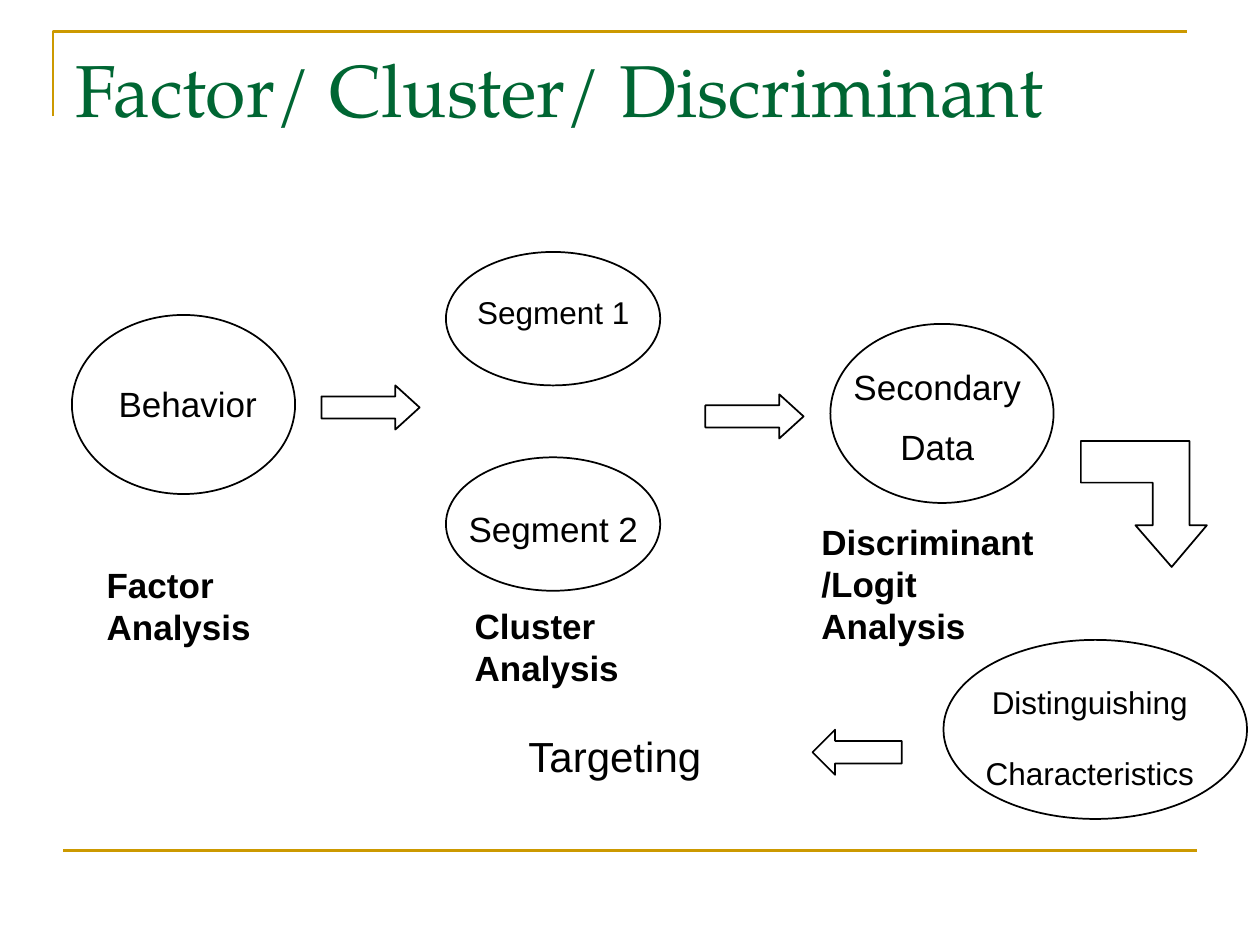
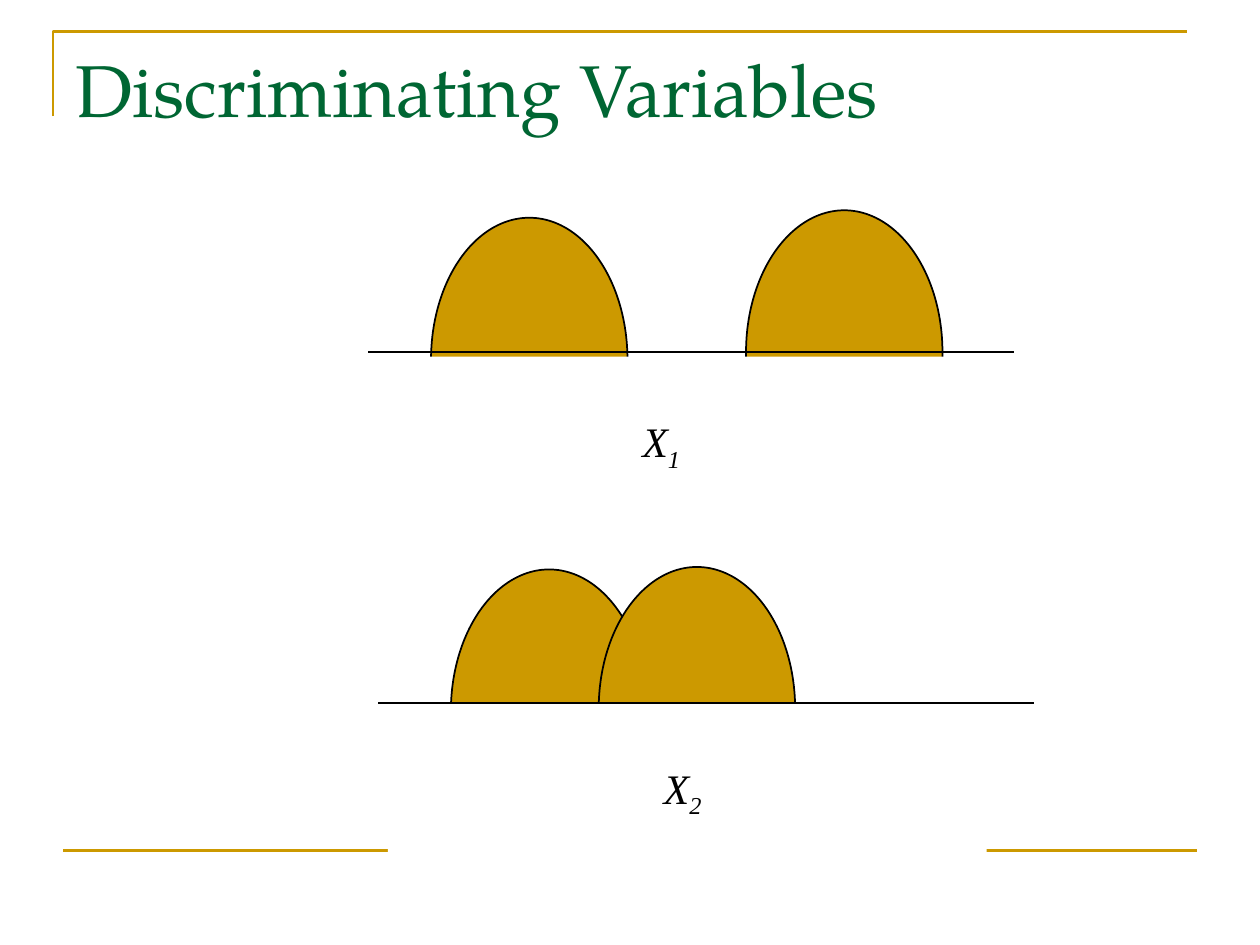
"""Build two slides on segment analysis and discriminating variables."""
from dataclasses import dataclass

from lxml.etree import SubElement
from pptx import Presentation
from pptx.dml.color import RGBColor
from pptx.enum.shapes import MSO_CONNECTOR, MSO_SHAPE
from pptx.enum.text import PP_ALIGN
from pptx.oxml.ns import qn
from pptx.util import Cm, Pt


@dataclass(frozen=True)
class Theme:
    gold: RGBColor = RGBColor(0xCC, 0x99, 0x00)
    green: RGBColor = RGBColor(0x00, 0x66, 0x33)
    black: RGBColor = RGBColor(0, 0, 0)
    white: RGBColor = RGBColor(255, 255, 255)
    title_font: str = "TeX Gyre Pagella"
    body_font: str = "Arial"
    symbol_font: str = "Times New Roman"
    title_size: int = 42
    large: int = 24
    medium: int = 20
    small: int = 18
    rule_width: float = 1.5
    outline_width: float = 1


class Deck:
    def __init__(self, theme):
        self.theme = theme
        self.presentation = Presentation()
        self.presentation.slide_width = Cm(25.4)
        self.presentation.slide_height = Cm(19.05)
        self.slide = None

    def add_slide(self, title):
        theme = self.theme
        self.slide = self.presentation.slides.add_slide(self.presentation.slide_layouts[6])
        self.outline([(1.07, 2.34), (1.07, 0.64), (23.93, 0.64)],
                     theme.gold, theme.rule_width, close=False)
        self.line(1.27, 24.13, 17.15, theme.gold, theme.rule_width)
        self.text([title], 1.27, 0.76, 22.86, 3.18, theme.title_size,
                  PP_ALIGN.LEFT, theme.title_font, theme.green)

    def finish(self, shape, fill, color, width):
        shape.shadow.inherit = False
        if fill is None:
            shape.fill.background()
        else:
            shape.fill.solid()
            shape.fill.fore_color.rgb = fill
        if color is None:
            shape.line.fill.background()
        else:
            shape.line.color.rgb = color
            shape.line.width = Pt(width)

    def shape(self, kind, left, top, width, height, fill=None, outlined=True):
        shape = self.slide.shapes.add_shape(kind, Cm(left), Cm(top), Cm(width), Cm(height))
        color = self.theme.black if outlined else None
        self.finish(shape, fill, color, self.theme.outline_width)
        return shape

    def ellipse(self, left, top, width, height, fill=None):
        self.shape(MSO_SHAPE.OVAL, left, top, width, height, fill)

    def right_arrow(self, left, top):
        arrow = self.shape(MSO_SHAPE.RIGHT_ARROW, left, top, 1.98, 0.89)
        arrow.adjustments[1] = 0.55

    def mask(self, left, top, width, height):
        self.shape(MSO_SHAPE.RECTANGLE, left, top, width, height, self.theme.white, False)

    def outline(self, points, color, width, close=True):
        corners = [(Cm(x), Cm(y)) for x, y in points]
        builder = self.slide.shapes.build_freeform(*corners[0])
        builder.add_line_segments(corners[1:], close=close)
        self.finish(builder.convert_to_shape(), None, color, width)

    def line(self, start, end, y, color, width):
        connector = self.slide.shapes.add_connector(
            MSO_CONNECTOR.STRAIGHT, Cm(start), Cm(y), Cm(end), Cm(y))
        connector.line.color.rgb = color
        connector.line.width = Pt(width)
        SubElement(connector._element.spPr, qn("a:effectLst"))

    def axis(self, start, y):
        self.line(start, start + 13.03, y, self.theme.black, self.theme.outline_width)

    def text(self, lines, left, top, width, height, size, align=PP_ALIGN.CENTER,
             font=None, color=None, bold=False, italic=False, gap=0):
        box = self.slide.shapes.add_textbox(Cm(left), Cm(top), Cm(width), Cm(height))
        frame = box.text_frame
        frame.word_wrap = True
        for index, line in enumerate(lines):
            paragraph = frame.add_paragraph() if index else frame.paragraphs[0]
            paragraph.text = line
            paragraph.alignment = align
            paragraph.space_before = Pt(gap if index else 0)
            paragraph.font.name = font or self.theme.body_font
            paragraph.font.size = Pt(size)
            paragraph.font.color.rgb = color or self.theme.black
            paragraph.font.bold = bold
            paragraph.font.italic = italic
        return frame.paragraphs[0]

    def method(self, name, left, top, height=1.96):
        self.text([name], left, top, 4.88, height, self.theme.medium,
                  PP_ALIGN.LEFT, bold=True)

    def variable(self, index, left, top):
        paragraph = self.text(["X"], left, top, 2.54, 1.27, self.theme.large,
                              PP_ALIGN.LEFT, self.theme.symbol_font, italic=True)
        subscript = paragraph.add_run()
        subscript.text = index
        subscript._r.get_or_add_rPr().set("baseline", "-25000")


def add_process(deck):
    theme = deck.theme
    deck.add_slide("Factor/ Cluster/ Discriminant")

    deck.ellipse(1.45, 6.35, 4.5, 3.61)
    deck.text(["Behavior"], 1.27, 7.59, 5.03, 1.09, theme.medium)
    deck.right_arrow(6.48, 7.77)

    for name, top, text_top, size in (("Segment 1", 5.08, 5.79, theme.small),
                                      ("Segment 2", 9.22, 10.11, theme.medium)):
        deck.ellipse(8.99, top, 4.32, 2.69)
        deck.text([name], 8.64, text_top, 5.03, 1.09, size)
    deck.right_arrow(14.22, 7.95)

    deck.ellipse(16.74, 6.53, 4.5, 3.61)
    deck.text(["Secondary", "Data"], 16.38, 7.24, 5.03, 2.36, theme.medium, gap=10.5)
    deck.outline([(23.62, 11.43), (22.89, 10.59), (23.24, 10.59), (23.24, 9.73),
                  (21.79, 9.73), (21.79, 8.89), (23.98, 8.89), (23.98, 10.59),
                  (24.33, 10.59)], theme.black, theme.outline_width)

    deck.ellipse(19.02, 12.9, 6.12, 3.61)
    deck.text(["Distinguishing", "Characteristics"], 18.54, 13.64, 6.86, 2.54,
              theme.small, gap=19)
    deck.shape(MSO_SHAPE.LEFT_ARROW, 16.38, 14.71, 1.8, 0.91)
    deck.text(["Targeting"], 9.32, 14.61, 6.15, 1.27, theme.large)

    deck.method("Factor Analysis", 1.9, 11.23)
    deck.method("Cluster Analysis", 9.32, 12.07)
    deck.method("Discriminant/Logit Analysis", 16.31, 10.36, 2.79)


def add_distributions(deck):
    deck.add_slide("Discriminating Variables")
    separate = [(8.69, 4.39), (15.04, 4.24)]
    overlapping = [(9.09, 11.48), (12.07, 11.43)]
    for curves, start, y in ((separate, 7.42, 7.09), (overlapping, 7.82, 14.17)):
        for left, top in curves:
            deck.ellipse(left, top, 3.96, 5.72, deck.theme.gold)
        deck.axis(start, y)
    deck.mask(4.65, 7.19, 18.42, 3.38)
    deck.mask(7.82, 14.17, 12.07, 3.18)
    deck.axis(7.62, 14.17)
    deck.variable("1", 12.7, 8.26)
    deck.variable("2", 13.13, 15.24)


def main():
    deck = Deck(Theme())
    add_process(deck)
    add_distributions(deck)
    deck.presentation.save("out.pptx")


main()
